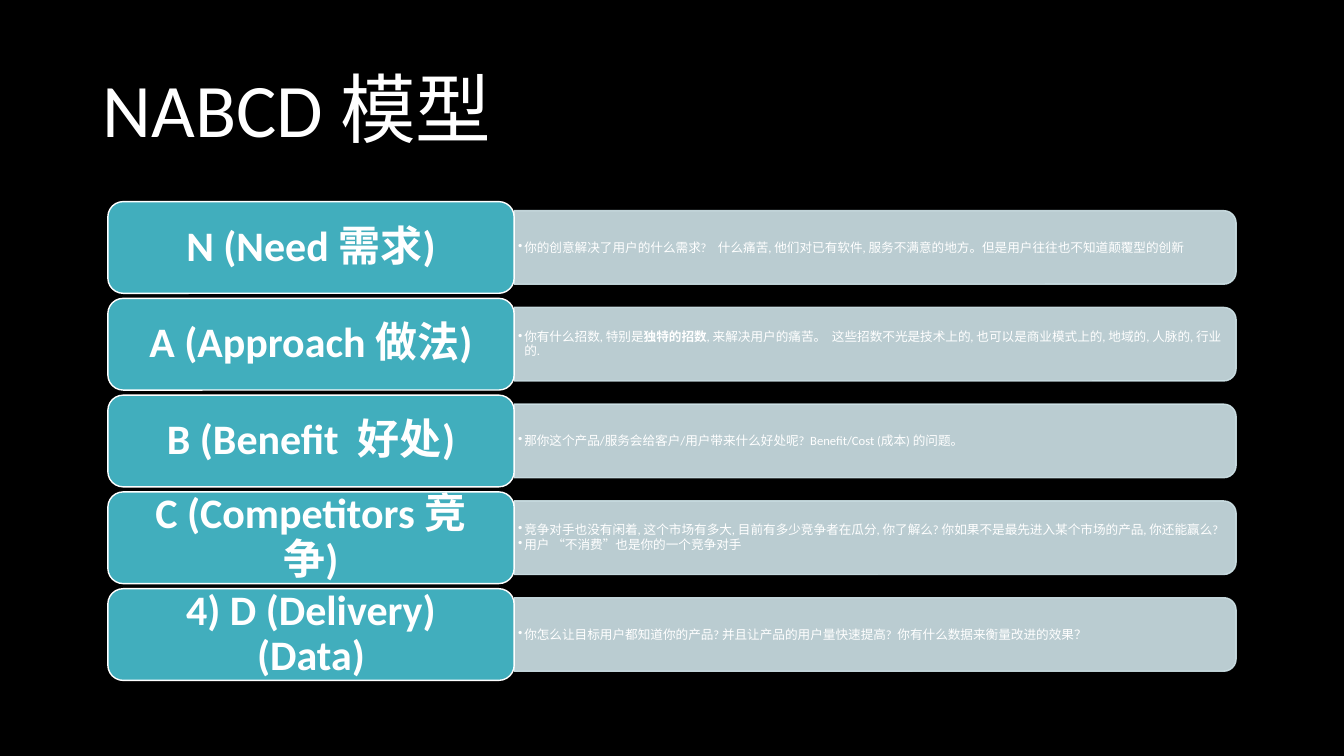
from lxml import etree
from pptx import Presentation
from pptx import util as u
from pptx.dml.color import RGBColor
from pptx.enum import shapes, text
from pptx.oxml.ns import qn

PX = 9144  # EMU per px, 100 px to the inch
BLACK = RGBColor(0x00, 0x00, 0x00)
WHITE = RGBColor(0xFF, 0xFF, 0xFF)
TEAL = RGBColor(0x41, 0xAE, 0xBD)
PALE = RGBColor(0xCF, 0xE3, 0xE8)
FONT = "Calibri"

ROW_TOP, ROW_PITCH = 200, 96
LABEL_LEFT, LABEL_WIDTH, LABEL_HEIGHT = 107, 403, 91
BAR_WIDTH, BAR_HEIGHT = 716, 73
DETAIL_WIDTH, DETAIL_HEIGHT = 713, 66

# Label, then detail paragraphs made of (wording, bold) runs
ROWS = [
    ("N (Need 需求)", [
        [("你的创意解决了用户的什么需求?    什么痛苦, 他们对已有软件, 服务不满意的地方。"
          "但是用户往往也不知道颠覆型的创新", False)]]),
    ("A (Approach 做法)", [
        [("你有什么招数, 特别是", False), ("独特的招数", True),
         (", 来解决用户的痛苦。  这些招数不光是技术上的, 也可以是商业模式上的, "
          "地域的, 人脉的, 行业的.", False)]]),
    ("B (Benefit  好处)", [
        [("那你这个产品/服务会给客户/用户带来什么好处呢?  Benefit/Cost (成本) 的问题。", False)]]),
    ("C (Competitors 竞争)", [
        [("竞争对手也没有闲着, 这个市场有多大, 目前有多少竞争者在瓜分, 你了解么? "
          "你如果不是最先进入某个市场的产品, 你还能赢么?", False)],
        [("用户 “不消费”也是你的一个竞争对手", False)]]),
    ("4) D (Delivery) (Data)", [
        [("你怎么让目标用户都知道你的产品? 并且让产品的用户量快速提高?  "
          "你有什么数据来衡量改进的效果？", False)]]),
]


def px(*lengths):
    return [u.Emu(round(length * PX)) for length in lengths]


def set_frame(frame, inset_x, inset_y):
    frame.word_wrap = True
    frame.vertical_anchor = text.MSO_ANCHOR.MIDDLE
    frame.margin_left = frame.margin_right = px(inset_x)[0]
    frame.margin_top = frame.margin_bottom = px(inset_y)[0]


def style(paragraph, size):
    paragraph.line_spacing = 0.9
    paragraph.font.name = FONT
    paragraph.font.size = u.Pt(size)
    paragraph.font.color.rgb = WHITE


def add_bullet(paragraph, indent):
    properties = paragraph._p.get_or_add_pPr()
    properties.set("marL", str(indent * PX))
    properties.set("indent", str(-indent * PX))
    etree.SubElement(properties, qn("a:buChar")).set("char", "•")


def add_block(slide, kind, box, fill, line):
    block = slide.shapes.add_shape(kind, *px(*box))
    block.shadow.inherit = False
    block.fill.solid()
    block.fill.fore_color.rgb = fill
    block.line.color.rgb = line
    block.line.width = u.Pt(1)
    return block


def add_title(slide, wording):
    title = slide.shapes.add_textbox(*px(92, 40, 1150, 145))
    set_frame(title.text_frame, 10, 5)
    heading = title.text_frame.paragraphs[0]
    heading.text = wording
    style(heading, 54)


def add_bar(slide, left, top):
    # Turned a quarter so that the two rounded corners face right
    turn = (BAR_WIDTH - BAR_HEIGHT) / 2
    box = (left + turn, top - turn, BAR_HEIGHT, BAR_WIDTH)
    bar = add_block(slide, shapes.MSO_SHAPE.ROUND_2_SAME_RECTANGLE, box, PALE, PALE)
    bar.rotation = 90
    for color in bar._element.spPr.iter(qn("a:srgbClr")):
        etree.SubElement(color, qn("a:alpha")).set("val", "90000")


def add_detail(slide, left, top, paragraphs):
    detail = slide.shapes.add_textbox(*px(left, top, DETAIL_WIDTH, DETAIL_HEIGHT))
    frame = detail.text_frame
    set_frame(frame, 4, 2)
    for index, runs in enumerate(paragraphs):
        point = frame.add_paragraph() if index else frame.paragraphs[0]
        add_bullet(point, 6)
        point.space_after = u.Pt(1)
        style(point, 9)
        for wording, bold in runs:
            run = point.add_run()
            run.text = wording
            if bold:
                run.font.bold = True


def add_label(slide, top, wording):
    box = (LABEL_LEFT, top, LABEL_WIDTH, LABEL_HEIGHT)
    label = add_block(slide, shapes.MSO_SHAPE.ROUNDED_RECTANGLE, box, TEAL, WHITE)
    set_frame(label.text_frame, 17, 10)
    caption = label.text_frame.paragraphs[0]
    caption.text = wording
    caption.alignment = text.PP_ALIGN.CENTER
    style(caption, 30)
    caption.font.bold = True


def main():
    deck = Presentation()
    deck.slide_width, deck.slide_height = px(1333, 750)
    slide = deck.slides.add_slide(deck.slide_layouts[6])
    slide.background.fill.solid()
    slide.background.fill.fore_color.rgb = BLACK

    add_title(slide, "NABCD 模型")

    # One row for each letter of the model
    detail_left = LABEL_LEFT + LABEL_WIDTH
    for index, (label, paragraphs) in enumerate(ROWS):
        top = ROW_TOP + index * ROW_PITCH
        add_bar(slide, detail_left, top + 9)
        add_detail(slide, detail_left, top + 13, paragraphs)
        add_label(slide, top, label)

    deck.save("out.pptx")


if __name__ == "__main__":
    main()
